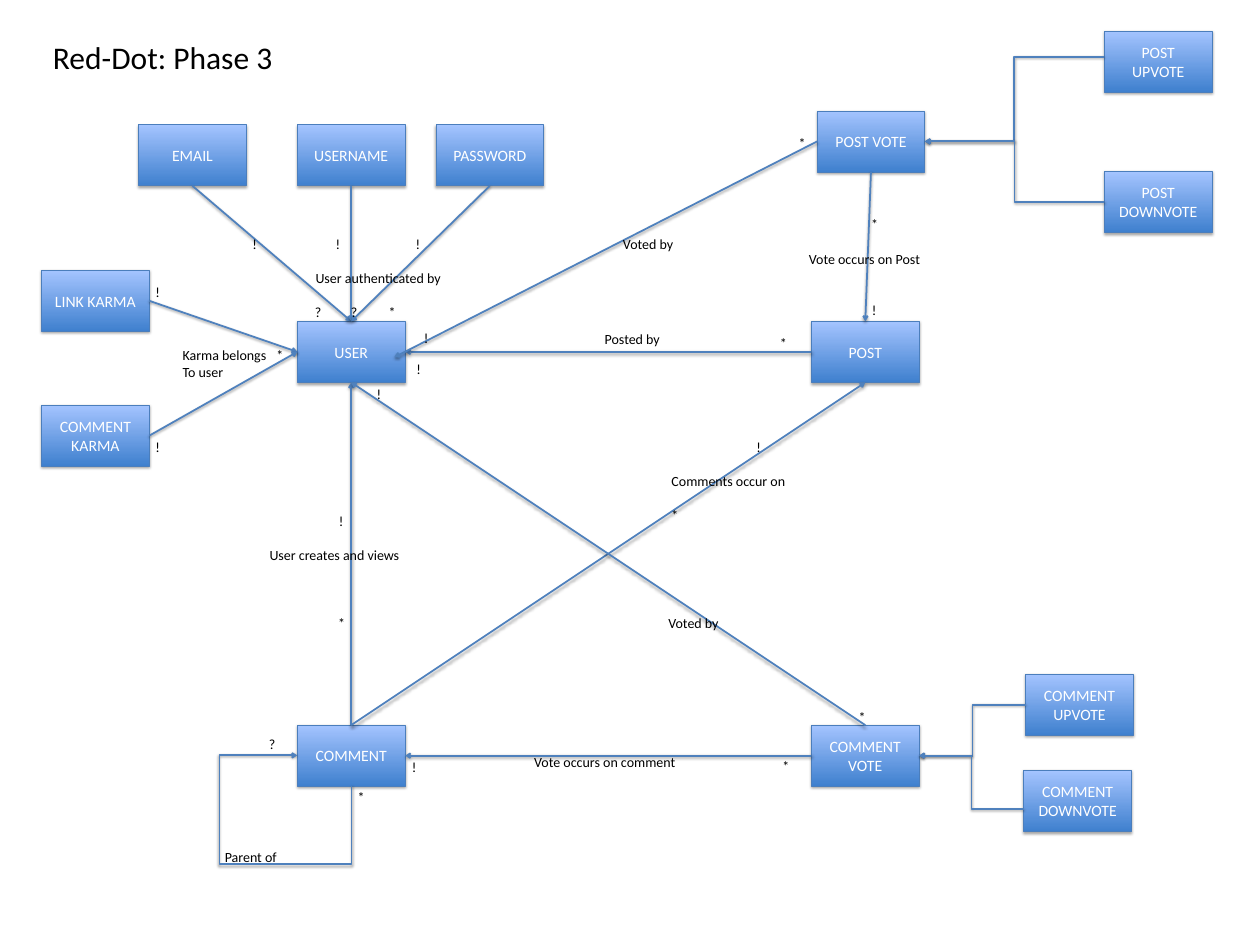
from lxml import etree
from pptx import Presentation
from pptx import util as u
from pptx.dml.color import RGBColor
from pptx.enum import shapes, text
from pptx.oxml.ns import qn

# ---- Content: positions in inches ----
TITLE = "Red-Dot: Phase 3"
FONT = "Calibri"
COLOURS = {"dark": "3F80CE", "light": "A4C4FF", "border": "4B7EBC",
           "link": "4F81BD", "white": "FFFFFF", "black": "000000"}
BOX_WIDTH, BOX_HEIGHT = 1.71, 0.97
LABEL_HEIGHT, LINE_PITCH = 0.37, 0.27

ENTITIES = {  # name: (left, top)
    "USER": (4.72, 5.1), "POST": (12.88, 5.1),
    "EMAIL": (2.2, 1.98), "USERNAME": (4.72, 1.98), "PASSWORD": (6.92, 1.98),
    "LINK KARMA": (0.66, 4.29), "COMMENT KARMA": (0.66, 6.43),
    "COMMENT": (4.72, 11.51), "COMMENT VOTE": (12.88, 11.51),
    "COMMENT UPVOTE": (16.28, 10.7), "COMMENT DOWNVOTE": (16.25, 12.23),
    "POST VOTE": (12.97, 1.76),
    "POST UPVOTE": (17.53, 0.49), "POST DOWNVOTE": (17.53, 2.72),
}

# Each end is (entity, side) or a free point (x, y)
STRAIGHT_LINKS = [
    (("EMAIL", "bottom"), ("USER", "top")),
    (("USERNAME", "bottom"), ("USER", "top")),
    (("PASSWORD", "bottom"), ("USER", "top")),
    (("LINK KARMA", "right"), ("USER", "left")),
    (("COMMENT KARMA", "right"), ("USER", "left")),
    (("COMMENT", "top"), ("USER", "bottom")),
    (("COMMENT", "top"), ("POST", "bottom")),
    (("POST", "left"), ("USER", "right")),
    (("POST VOTE", "left"), (6.26, 5.67)),
    (("POST VOTE", "bottom"), ("POST", "top")),
    (("COMMENT VOTE", "top"), ("USER", "bottom")),
    (("COMMENT VOTE", "left"), ("COMMENT", "right")),
]
BENT_LINKS = [
    ((17.52, 0.9), ("POST VOTE", "right")),
    (("POST DOWNVOTE", "left"), ("POST VOTE", "right")),
    (("COMMENT UPVOTE", "left"), ("COMMENT VOTE", "right")),
    ((16.25, 12.84), ("COMMENT VOTE", "right")),
]
PARENT_LOOP = {"begin": (4.91, 11.8), "end": (5.39, 12.66),
               "adjust": (-260100, 243800)}

PHRASES = [  # (wording, left, top)
    ("User authenticated by", 4.91, 4.23), ("User creates and views", 4.18, 8.63),
    ("Voted by", 9.79, 3.69), ("Vote occurs on Post", 12.74, 3.92),
    ("Comments occur on", 10.56, 7.45), ("Posted by", 9.5, 5.2),
    ("Vote occurs on comment", 8.38, 11.91), ("Voted by", 10.51, 9.71),
    ("Parent of", 3.47, 13.42), ("Karma belongs\nTo user", 2.8, 5.45),
]
MARKS = {  # multiplicity symbol: places
    "!": [(3.91, 3.69), (5.23, 3.69), (6.5, 3.69), (5.28, 8.09), (13.74, 4.73),
          (11.91, 6.91), (6.51, 5.67), (6.44, 11.99), (2.37, 6.91),
          (2.37, 4.45), (6.63, 5.18), (5.88, 6.07)],
    "*": [(6.07, 4.77), (5.27, 9.71), (12.58, 2.08), (13.73, 3.38),
          (10.56, 7.99), (12.28, 5.26), (5.58, 12.47), (4.29, 5.45),
          (13.53, 11.19), (12.32, 11.97)],
    "?": [(4.9, 4.77), (5.47, 4.77), (4.17, 11.62)],
}

# side: (connection site, x fraction, y fraction)
SIDES = {"top": (0, 0.5, 0), "left": (1, 0, 0.5),
         "bottom": (2, 0.5, 1), "right": (3, 1, 0.5)}


# ---- Helpers ----
def cm(*inches):
    return [u.Cm(value * 2.54) for value in inches]


def colour(name):
    return RGBColor.from_string(COLOURS[name])


def style_text(frame, size, name, align):
    for para in frame.paragraphs:
        para.alignment = align
        for span in para.runs:
            span.font.name = FONT
            span.font.size = u.Pt(size)
            span.font.color.rgb = colour(name)


def add_shadow(shape, distance, opacity):
    effects = etree.SubElement(shape._element.spPr, qn("a:effectLst"))
    shadow = etree.SubElement(effects, qn("a:outerShdw"), blurRad="40000",
                              dist=str(distance), dir="5400000", rotWithShape="0")
    tint = etree.SubElement(shadow, qn("a:srgbClr"), val=COLOURS["black"])
    etree.SubElement(tint, qn("a:alpha"), val=str(opacity * 1000))


def add_entity(page, name, place):
    box = page.shapes.add_shape(shapes.MSO_SHAPE.RECTANGLE,
                                *cm(*place, BOX_WIDTH, BOX_HEIGHT))
    box.fill.gradient()
    box.fill.gradient_angle = 90
    for stop, position, shade in zip(box.fill.gradient_stops, (0, 1), ("dark", "light")):
        stop.position = position
        stop.color.rgb = colour(shade)
    box.line.color.rgb = colour("border")
    box.line.width = u.Pt(0.75)
    add_shadow(box, 23000, 35)
    frame = box.text_frame
    frame.text = name
    frame.word_wrap = True
    frame.vertical_anchor = text.MSO_ANCHOR.MIDDLE
    frame.margin_left, frame.margin_right = cm(0.2, 0.2)
    frame.margin_top, frame.margin_bottom = cm(0.1, 0.1)
    style_text(frame, 18, "white", text.PP_ALIGN.CENTER)
    return box


def locate(end):
    if end[0] not in ENTITIES:
        return end
    left, top = ENTITIES[end[0]]
    _, across, down = SIDES[end[1]]
    return left + across * BOX_WIDTH, top + down * BOX_HEIGHT


def add_link(page, kind, begin, end, boxes):
    link = page.shapes.add_connector(kind, *cm(*locate(begin), *locate(end)))
    for target, connect in ((begin, link.begin_connect), (end, link.end_connect)):
        if target[0] in boxes:
            connect(boxes[target[0]], SIDES[target[1]][0])
    link.line.color.rgb = colour("link")
    link.line.width = u.Pt(2)
    etree.SubElement(link.line._get_or_add_ln(), qn("a:tailEnd"), type="arrow")
    add_shadow(link, 20000, 38)
    return link


def add_label(page, wording, left, top, width):
    height = LABEL_HEIGHT + LINE_PITCH * wording.count("\n")
    frame = page.shapes.add_textbox(*cm(left, top, width, height)).text_frame
    frame.word_wrap = True
    frame.text = wording
    style_text(frame, 16, "black", text.PP_ALIGN.LEFT)


def main():
    deck = Presentation()
    deck.slide_width, deck.slide_height = cm(20, 15)
    page = deck.slides.add_slide(deck.slide_layouts[5])

    # Title
    title = page.shapes.title
    title.left, title.top, title.width, title.height = cm(0.74, 0.56, 3.73, 0.71)
    title.text_frame.text = TITLE
    title.text_frame.word_wrap = False
    title.text_frame.vertical_anchor = text.MSO_ANCHOR.TOP
    style_text(title.text_frame, 36, "black", text.PP_ALIGN.LEFT)

    # Entities and the links between them
    boxes = {name: add_entity(page, name, place) for name, place in ENTITIES.items()}
    for kind, links in ((shapes.MSO_CONNECTOR.STRAIGHT, STRAIGHT_LINKS),
                        (shapes.MSO_CONNECTOR.ELBOW, BENT_LINKS)):
        for begin, end in links:
            add_link(page, kind, begin, end, boxes)

    # Loop from COMMENT back to itself
    loop = add_link(page, shapes.MSO_CONNECTOR.ELBOW,
                    PARENT_LOOP["begin"], PARENT_LOOP["end"], boxes)
    frame = loop._element.spPr.find(qn("a:xfrm"))
    frame.set("rot", "5400000")
    frame.set("flipH", "1")
    outline = loop._element.spPr.find(qn("a:prstGeom"))
    outline.set("prst", "bentConnector4")
    guides = outline.find(qn("a:avLst"))
    for number, value in enumerate(PARENT_LOOP["adjust"], 1):
        etree.SubElement(guides, qn("a:gd"), name=f"adj{number}", fmla=f"val {value}")

    # Relationship names and multiplicities
    for wording, left, top in PHRASES:
        add_label(page, wording, left, top, 2.79)
    for symbol, places in MARKS.items():
        for left, top in places:
            add_label(page, symbol, left, top, 0.6)

    deck.save("out.pptx")


if __name__ == "__main__":
    main()
